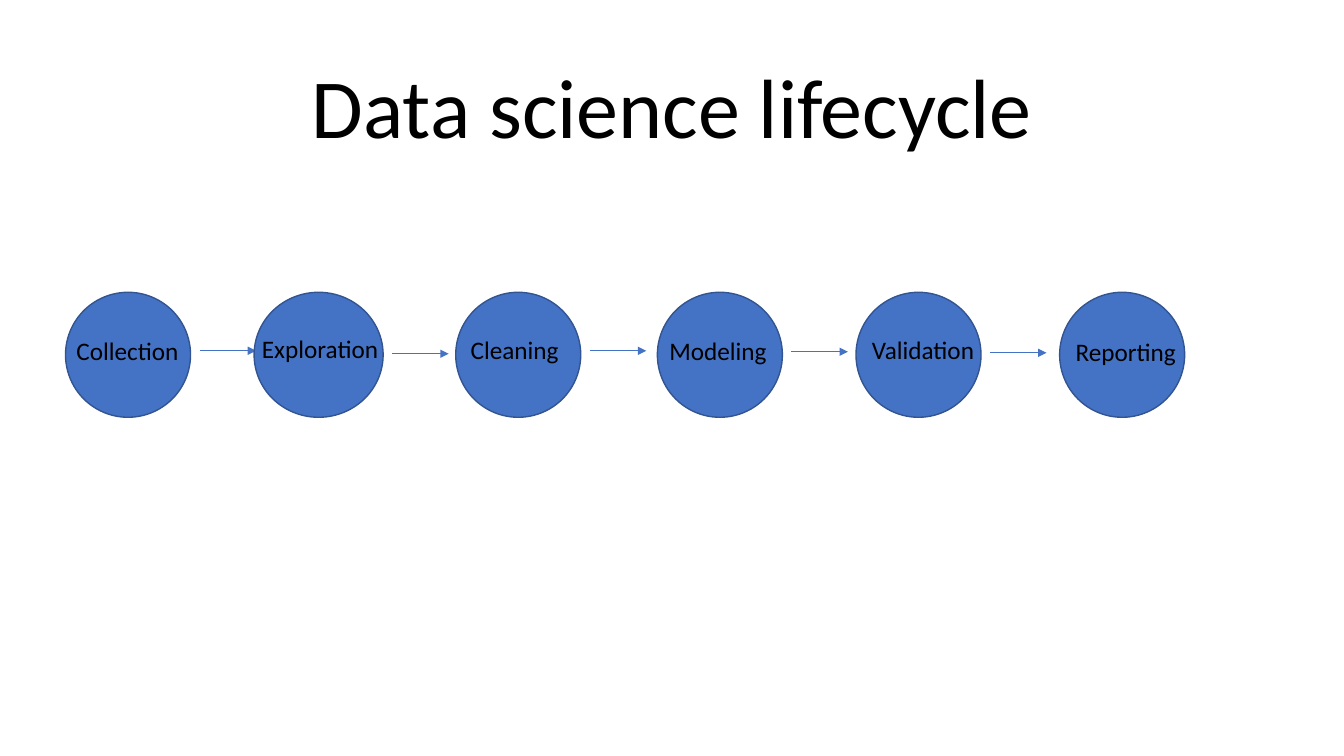
from dataclasses import dataclass

from lxml import etree
from pptx import Presentation
from pptx.dml.color import RGBColor
from pptx.enum.shapes import MSO_CONNECTOR, MSO_SHAPE
from pptx.enum.text import MSO_ANCHOR, MSO_AUTO_SIZE, PP_ALIGN
from pptx.oxml.ns import qn
from pptx.util import Inches, Pt

OVAL, STRAIGHT = MSO_SHAPE.OVAL, MSO_CONNECTOR.STRAIGHT
CENTER, BOTTOM = PP_ALIGN.CENTER, MSO_ANCHOR.BOTTOM
NO_FIT, GROW = MSO_AUTO_SIZE.NONE, MSO_AUTO_SIZE.SHAPE_TO_FIT_TEXT

# Content: stage, circle left, circle width, label left and top,
# and the height of the arrow that leaves the stage
TITLE = "Data science lifecycle"
STAGES = [
    ("Collection", 0.65, 1.24, 0.66, 3.28, 3.48),
    ("Exploration", 2.52, 1.28, 2.5, 3.26, 3.51),
    ("Cleaning", 4.52, 1.24, 4.57, 3.27, 3.48),
    ("Modeling", 6.52, 1.24, 6.54, 3.28, 3.49),
    ("Validation", 8.49, 1.24, 8.55, 3.27, 3.5),
    ("Reporting", 10.51, 1.24, 10.57, 3.29, None),
]

# Layout in inches
SLIDE_W, SLIDE_H = 13.33, 7.5
TITLE_W, TITLE_TOP, TITLE_H = 10, 0.57, 1.03
CIRCLE_TOP, CIRCLE_H = 2.9, 1.24
LABEL_W, LABEL_H = 1.73, 0.4
ARROW_GAP, ARROW_LENGTH = 0.09, 0.56


@dataclass(frozen=True)
class Theme:
    font: str = "Calibri"
    text: RGBColor = RGBColor(0x00, 0x00, 0x00)
    fill: RGBColor = RGBColor(0x44, 0x72, 0xC4)
    outline: RGBColor = RGBColor(0x32, 0x54, 0x91)
    title_size: int = 60
    label_size: int = 18
    outline_width: float = 1
    arrow_width: float = 0.5


THEME = Theme()


def write(frame, text, size):
    frame.text = text
    para = frame.paragraphs[0]
    para.font.name = THEME.font
    para.font.size = Pt(size)
    para.font.color.rgb = THEME.text
    return para


def add_title(page):
    title = page.shapes.title
    title.left, title.top = Inches((SLIDE_W - TITLE_W) / 2), Inches(TITLE_TOP)
    title.width, title.height = Inches(TITLE_W), Inches(TITLE_H)
    frame = title.text_frame
    frame.auto_size = NO_FIT
    frame.vertical_anchor = BOTTOM
    para = write(frame, TITLE, THEME.title_size)
    para.alignment = CENTER
    para.line_spacing = 0.9


def add_circle(page, left, width):
    circle = page.shapes.add_shape(
        OVAL, Inches(left), Inches(CIRCLE_TOP), Inches(width), Inches(CIRCLE_H))
    circle.shadow.inherit = False
    circle.fill.solid()
    circle.fill.fore_color.rgb = THEME.fill
    circle.line.color.rgb = THEME.outline
    circle.line.width = Pt(THEME.outline_width)


def add_label(page, text, left, top):
    box = page.shapes.add_textbox(
        Inches(left), Inches(top), Inches(LABEL_W), Inches(LABEL_H))
    box.text_frame.word_wrap = True
    box.text_frame.auto_size = GROW
    write(box.text_frame, text, THEME.label_size)


def add_arrow(page, left, y):
    arrow = page.shapes.add_connector(
        STRAIGHT, Inches(left), Inches(y), Inches(left + ARROW_LENGTH), Inches(y))
    arrow.line.color.rgb = THEME.fill
    arrow.line.width = Pt(THEME.arrow_width)
    properties = arrow._element.spPr
    etree.SubElement(properties.find(qn("a:ln")), qn("a:tailEnd"), type="triangle")
    etree.SubElement(properties, qn("a:effectLst"))


def main():
    deck = Presentation()
    deck.slide_width, deck.slide_height = Inches(SLIDE_W), Inches(SLIDE_H)
    page = deck.slides.add_slide(deck.slide_layouts[0])
    subtitle = page.placeholders[1]._element
    subtitle.getparent().remove(subtitle)
    add_title(page)

    # Each stage with the arrow to the next one
    for name, left, width, label_left, label_top, arrow_y in STAGES:
        add_circle(page, left, width)
        add_label(page, name, label_left, label_top)
        if arrow_y is not None:
            add_arrow(page, left + width + ARROW_GAP, arrow_y)

    deck.save("out.pptx")


if __name__ == "__main__":
    main()
